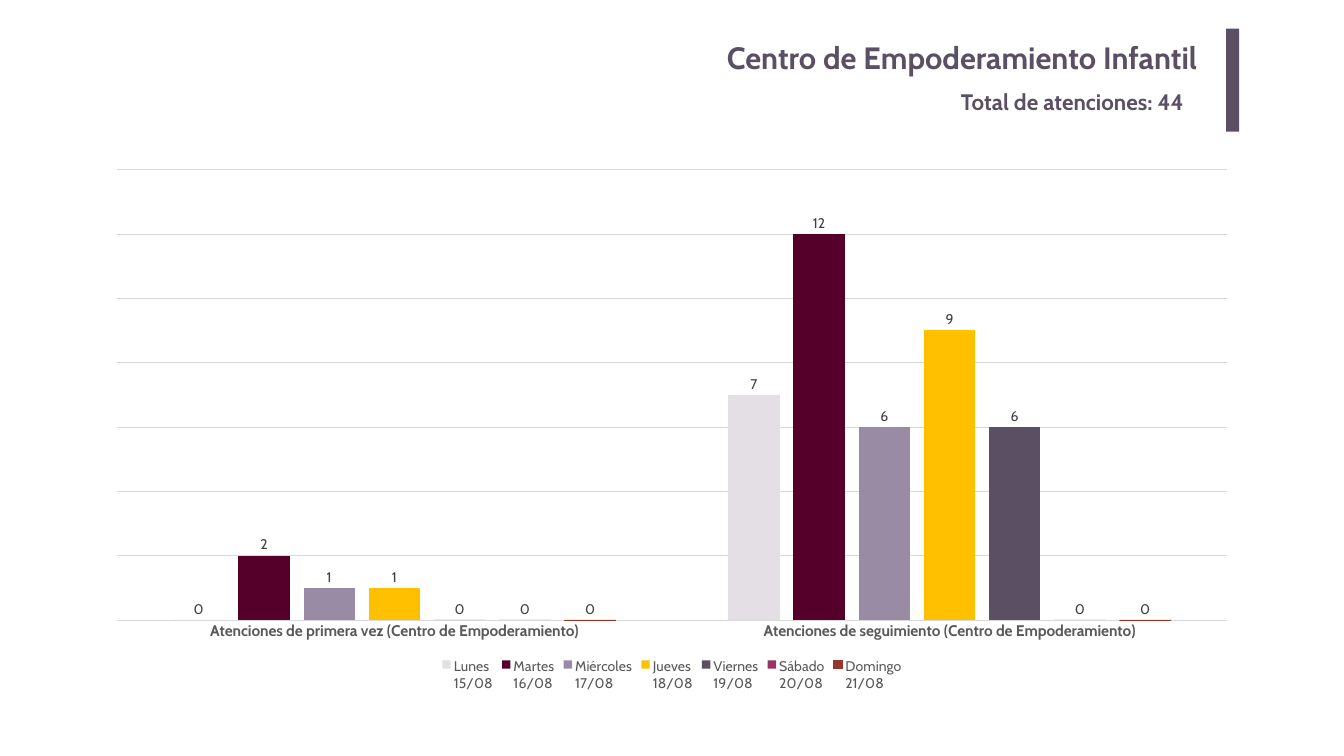
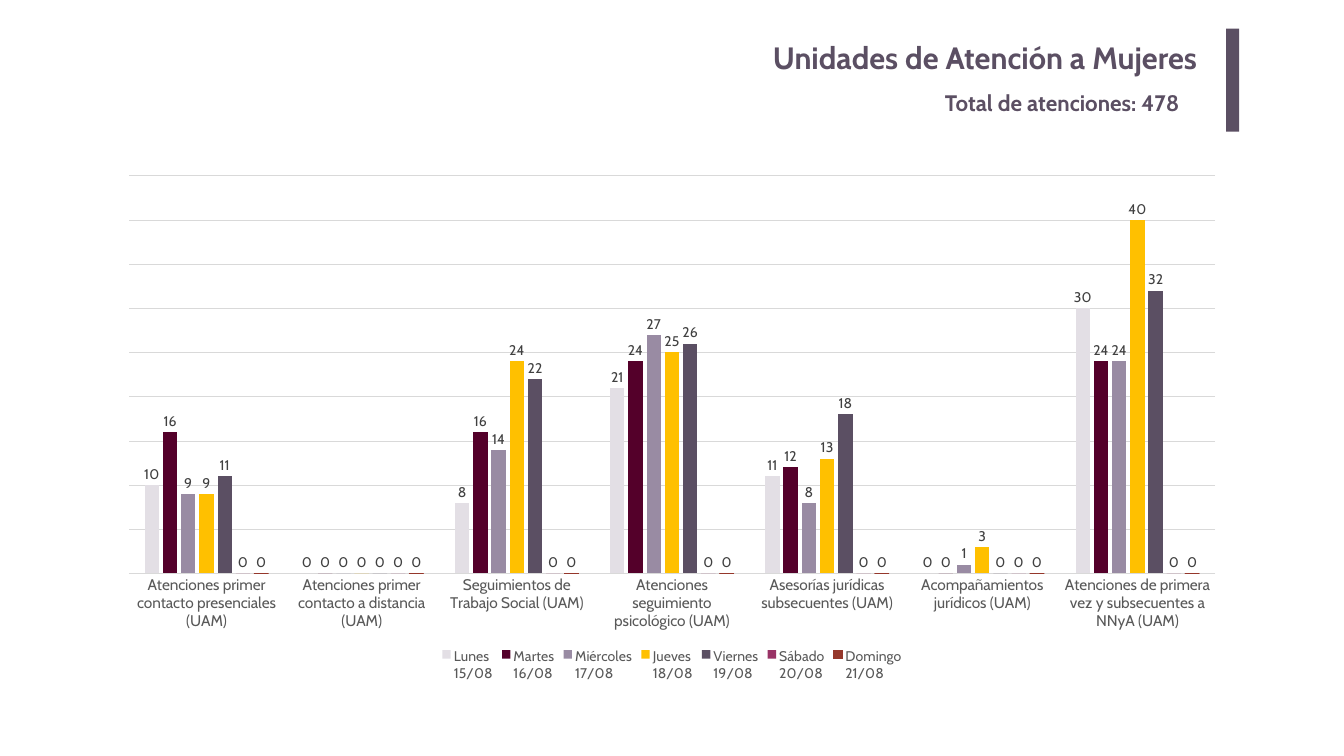
from dataclasses import dataclass

import pptx
import pptx.chart.data
import pptx.dml.color
import pptx.enum.chart
import pptx.enum.shapes
import pptx.enum.text
import pptx.util

Inches = pptx.util.Inches
Pt = pptx.util.Pt


@dataclass(frozen=True)
class Theme:
    font: str = "Cabin"
    accent: str = "5B4F63"
    text: str = "595959"
    label: str = "404040"
    rule: str = "D9D9D9"
    title_size: int = 44
    total_size: int = 32
    category_size: int = 22
    small_size: int = 20
    rule_width: float = 0.75


DAYS = {
    "Lunes\n15/08": "E3DFE5",
    "Martes\n16/08": "54002A",
    "Miércoles\n17/08": "998BA3",
    "Jueves\n18/08": "FFC000",
    "Viernes\n19/08": "5B4F63",
    "Sábado\n20/08": "993366",
    "Domingo\n21/08": "95372B",
}
OUTLINED_DAY = "Domingo\n21/08"

# Each row of counts follows the order of DAYS.
REPORTS = [
    {
        "title": "Centro de Empoderamiento Infantil",
        "total": "Total de atenciones: 44",
        "total_box": (18.97, 1.69, 5.05, 0.64),
        "chart_box": (1.86, 3.15, 22.95, 10.64),
        "bold_categories": True,
        "scale": (14, 2),
        "counts": {
            "Atenciones de primera vez (Centro de Empoderamiento)": (0, 2, 1, 1, 0, 0, 0),
            "Atenciones de seguimiento (Centro de Empoderamiento)": (7, 12, 6, 9, 6, 0, 0),
        },
    },
    {
        "title": "Unidades de Atención a Mujeres",
        "total": "Total de atenciones: 478",
        "total_box": (18.65, 1.71, 5.31, 0.64),
        "chart_box": (2.11, 3.28, 22.45, 10.31),
        "bold_categories": False,
        "scale": (45, 5),
        "counts": {
            "Atenciones primer contacto presenciales (UAM)": (10, 16, 9, 9, 11, 0, 0),
            "Atenciones primer contacto a distancia (UAM)": (0, 0, 0, 0, 0, 0, 0),
            "Seguimientos de Trabajo Social (UAM)": (8, 16, 14, 24, 22, 0, 0),
            "Atenciones seguimiento psicológico (UAM)": (21, 24, 27, 25, 26, 0, 0),
            "Asesorías jurídicas subsecuentes (UAM)": (11, 12, 8, 13, 18, 0, 0),
            "Acompañamientos jurídicos (UAM)": (0, 0, 1, 3, 0, 0, 0),
            "Atenciones de primera vez y subsecuentes a NNyA (UAM)": (30, 24, 24, 40, 32, 0, 0),
        },
    },
]


def rgb(value):
    return pptx.dml.color.RGBColor.from_string(value)


def apply(target, values):
    for name, value in values.items():
        setattr(target, name, value)


class Deck:
    def __init__(self, theme):
        self.theme = theme
        self.presentation = pptx.Presentation()
        apply(self.presentation, {"slide_width": Inches(26.67), "slide_height": Inches(15)})
        self.slide = None

    def add_slide(self):
        self.slide = self.presentation.slides.add_slide(self.presentation.slide_layouts[6])

    def style_font(self, font, size, color, bold=False):
        apply(font, {"name": self.theme.font, "size": Pt(size), "bold": bold})
        font.color.rgb = rgb(color)

    def style_line(self, line, color):
        line.color.rgb = rgb(color)
        line.width = Pt(self.theme.rule_width)

    def heading(self, text, box, size, inset, align):
        """Add bold accent text; inset is horizontal, and half of it vertical."""
        frame = self.slide.shapes.add_textbox(*map(Inches, box)).text_frame
        apply(frame, {
            "word_wrap": True,
            "margin_left": Inches(inset), "margin_right": Inches(inset),
            "margin_top": Inches(inset / 2), "margin_bottom": Inches(inset / 2),
        })
        paragraph = frame.paragraphs[0]
        paragraph.alignment = align
        run = paragraph.add_run()
        run.text = text
        self.style_font(run.font, size, self.theme.accent, bold=True)

    def header(self, title, total, total_box):
        align = pptx.enum.text.PP_ALIGN
        self.heading(title, (3.66, 0.67, 20.3, 1.02), self.theme.title_size, 0.2, align.RIGHT)
        self.accent_bar(24.33, 0.57, 0.26, 2.04)
        self.heading(total, total_box, self.theme.total_size, 0.1, align.LEFT)

    def accent_bar(self, *box):
        bar = self.slide.shapes.add_shape(
            pptx.enum.shapes.MSO_SHAPE.RECTANGLE, *map(Inches, box))
        bar.shadow.inherit = False
        bar.fill.solid()
        bar.fill.fore_color.rgb = rgb(self.theme.accent)
        bar.line.fill.background()

    def daily_chart(self, counts, box, scale, bold_categories):
        data = pptx.chart.data.CategoryChartData()
        data.categories = list(counts)
        for day, values in zip(DAYS, zip(*counts.values())):
            data.add_series(day, values)
        chart = self.slide.shapes.add_chart(
            pptx.enum.chart.XL_CHART_TYPE.COLUMN_CLUSTERED, *map(Inches, box), data).chart
        chart.has_title = False
        self.style_font(chart.font, 10, "000000")
        apply(chart.plots[0], {"gap_width": 219, "overlap": -27, "vary_by_categories": False})
        self.style_axes(chart, scale, bold_categories)
        self.style_legend(chart)
        for series in chart.plots[0].series:
            self.style_day(series)

    def style_axes(self, chart, scale, bold_categories):
        no_tick = pptx.enum.chart.XL_TICK_MARK.NONE
        category = chart.category_axis
        apply(category, {"major_tick_mark": no_tick, "minor_tick_mark": no_tick})
        self.style_font(category.tick_labels.font, self.theme.category_size,
                        self.theme.text, bold_categories)
        self.style_line(category.format.line, self.theme.rule)
        maximum, step = scale
        apply(chart.value_axis, {
            "visible": False, "has_major_gridlines": True,
            "minimum_scale": 0, "maximum_scale": maximum, "major_unit": step,
        })
        self.style_line(chart.value_axis.major_gridlines.format.line, self.theme.rule)

    def style_legend(self, chart):
        chart.has_legend = True
        apply(chart.legend, {
            "position": pptx.enum.chart.XL_LEGEND_POSITION.BOTTOM,
            "include_in_layout": False,
        })
        self.style_font(chart.legend.font, self.theme.small_size, self.theme.text)

    def style_day(self, series):
        color = DAYS[series.name]
        series.invert_if_negative = False
        series.format.fill.solid()
        series.format.fill.fore_color.rgb = rgb(color)
        if series.name == OUTLINED_DAY:
            self.style_line(series.format.line, color)
        else:
            series.format.line.fill.background()
        labels = series.data_labels
        apply(labels, {
            "show_value": True,
            "position": pptx.enum.chart.XL_LABEL_POSITION.OUTSIDE_END,
        })
        self.style_font(labels.font, self.theme.small_size, self.theme.label)


def main():
    deck = Deck(Theme())
    for report in REPORTS:
        deck.add_slide()
        deck.header(report["title"], report["total"], report["total_box"])
        deck.daily_chart(report["counts"], report["chart_box"],
                         report["scale"], report["bold_categories"])
    deck.presentation.save("out.pptx")


if __name__ == "__main__":
    main()
